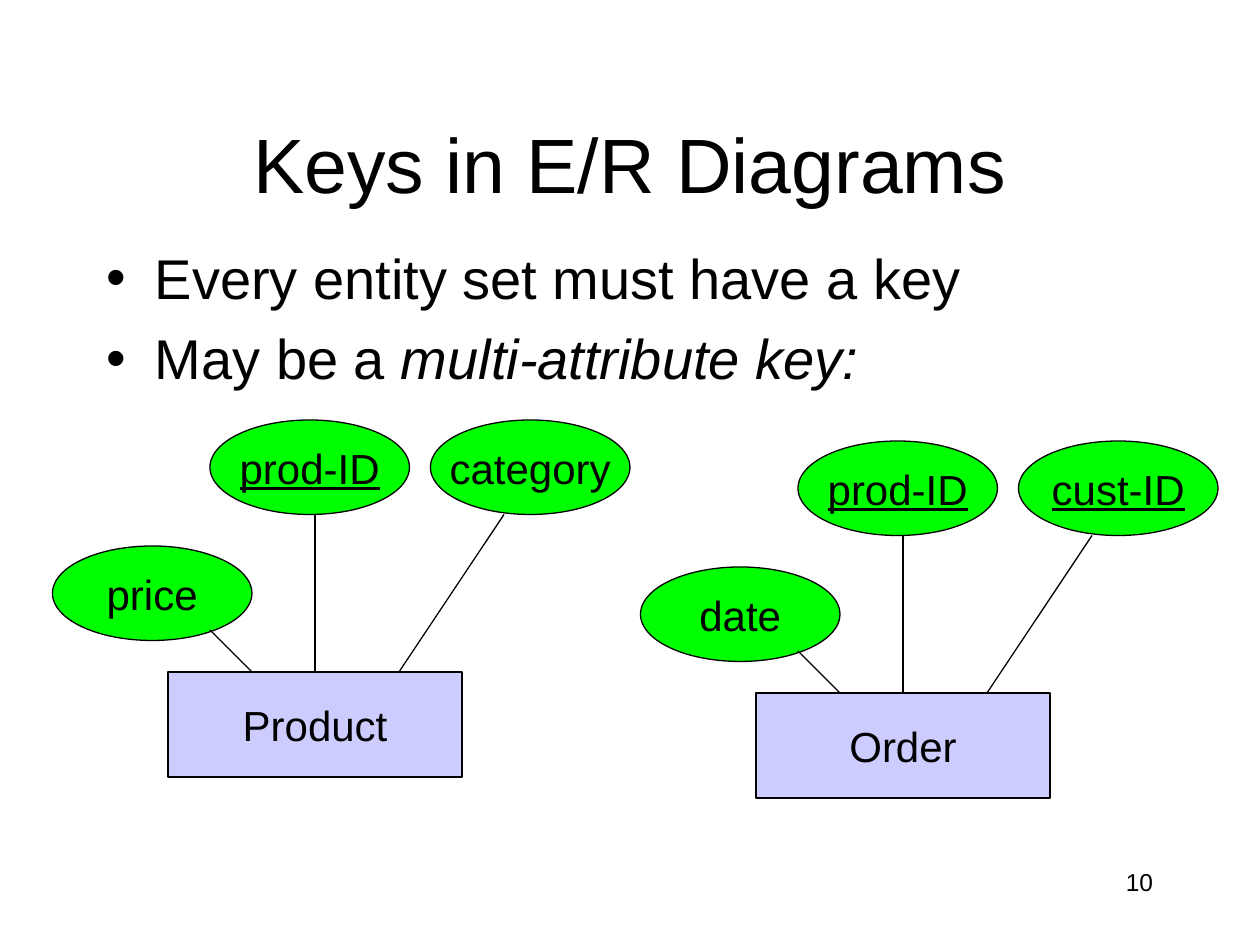
from lxml import etree
from pptx import Presentation
from pptx import util as u
from pptx.dml.color import RGBColor
from pptx.enum import shapes, text
from pptx.oxml.ns import qn

COLOURS = {"ink": "000000", "entity": "CCCCFF", "attribute": "00FF00"}
FONT = "Arial"
CELL = u.Inches(10) // 120  # the page is a grid of 120 columns by 90 rows


def grid(*cells):
    return [u.Emu(cell * CELL) for cell in cells]


def colour(name):
    return RGBColor.from_string(COLOURS[name])


def add_span(para, words, size, **formats):
    span = para.add_run()
    span.text = words
    for key, value in {"name": FONT, "size": u.Pt(size), **formats}.items():
        setattr(span.font, key, value)
    span.font.color.rgb = colour("ink")


def add_text_box(page, box, **formats):
    frame = page.shapes.add_textbox(*grid(*box)).text_frame
    for key, value in {"word_wrap": True, **formats}.items():
        setattr(frame, key, value)
    return frame


def add_line_of_text(page, box, words, size, align, anchor):
    para = add_text_box(page, box, vertical_anchor=anchor).paragraphs[0]
    para.alignment = align
    add_span(para, words, size)


def add_bullets(page, box, items):
    frame = add_text_box(page, box, margin_top=u.Inches(0.1))
    for index, spans in enumerate(items):
        para = frame.add_paragraph() if index else frame.paragraphs[0]
        if index:
            para.space_before = u.Pt(7.5)
        indent = u.Inches(0.38)
        properties = para._p.get_or_add_pPr()
        properties.set("marL", str(indent))
        properties.set("indent", str(-indent))
        etree.SubElement(properties, qn("a:buFont")).set("typeface", FONT)
        etree.SubElement(properties, qn("a:buChar")).set("char", "•")
        for words, formats in spans:
            add_span(para, words, 32, **formats)


def add_node(page, kind, box, fill, label, is_key=False):
    node = page.shapes.add_shape(kind, *grid(*box))
    node.shadow.inherit = False
    node.fill.solid()
    node.fill.fore_color.rgb = colour(fill)
    node.line.color.rgb = colour("ink")
    node.line.width = u.Pt(0.75)
    frame = node.text_frame
    frame.word_wrap = False
    frame.vertical_anchor = text.MSO_ANCHOR.MIDDLE
    para = frame.paragraphs[0]
    para.alignment = text.PP_ALIGN.CENTER
    add_span(para, label, 24, **({"underline": True} if is_key else {}))
    return node


def add_link(page, start, end):
    link = page.shapes.add_connector(
        shapes.MSO_CONNECTOR.STRAIGHT, *grid(*start, *end))
    link.line.color.rgb = colour("ink")
    link.line.width = u.Pt(0.75)
    etree.SubElement(link._element.spPr, qn("a:effectLst"))
    return link


def add_entity_diagram(page, box, entity, attributes):
    """Entity at the bottom of the box, three attributes above it."""
    left, top, width, height = box
    entity_top = top + height - 10
    entity_node = add_node(page, shapes.MSO_SHAPE.RECTANGLE,
                           (left + 11, entity_top, 28, 10), "entity", entity)

    # Attributes: two at the top, one lower on the left
    places = [(15, 0), (width - 19, 0), (0, 12)]
    for (column, row), (label, is_key) in zip(places, attributes):
        add_node(page, shapes.MSO_SHAPE.OVAL,
                 (left + column, top + row, 19, 9),
                 "attribute", label, is_key)

    # Links from the top of the entity: column there, then far column and row
    for foot, column, row in [(19, 15, 20), (25, 25, 9), (33, 43, 9)]:
        link = add_link(page, (left + foot, entity_top),
                        (left + column, top + row))
        if foot == 25:
            link.begin_connect(entity_node, 0)


def main():
    deck = Presentation()
    deck.slide_width, deck.slide_height = grid(120, 90)
    page = deck.slides.add_slide(deck.slide_layouts[6])

    # Page number, title and bullets
    add_line_of_text(page, (86, 82, 25, 6), "10", 14,
                     text.PP_ALIGN.RIGHT, text.MSO_ANCHOR.TOP)
    add_line_of_text(page, (9, 8, 102, 15), "Keys in E/R Diagrams", 44,
                     text.PP_ALIGN.CENTER, text.MSO_ANCHOR.MIDDLE)
    add_bullets(page, (9, 22, 102, 54), [
        [("Every entity set must have a key", {})],
        [("May be a ", {}), ("multi-attribute key:", {"italic": True})],
    ])

    # Entity diagrams
    add_entity_diagram(page, (5, 40, 55, 34), "Product", [
        ("prod-ID", True), ("category", False), ("price", False)])
    add_entity_diagram(page, (61, 42, 55, 34), "Order", [
        ("prod-ID", True), ("cust-ID", True), ("date", False)])

    deck.save("out.pptx")


if __name__ == "__main__":
    main()
